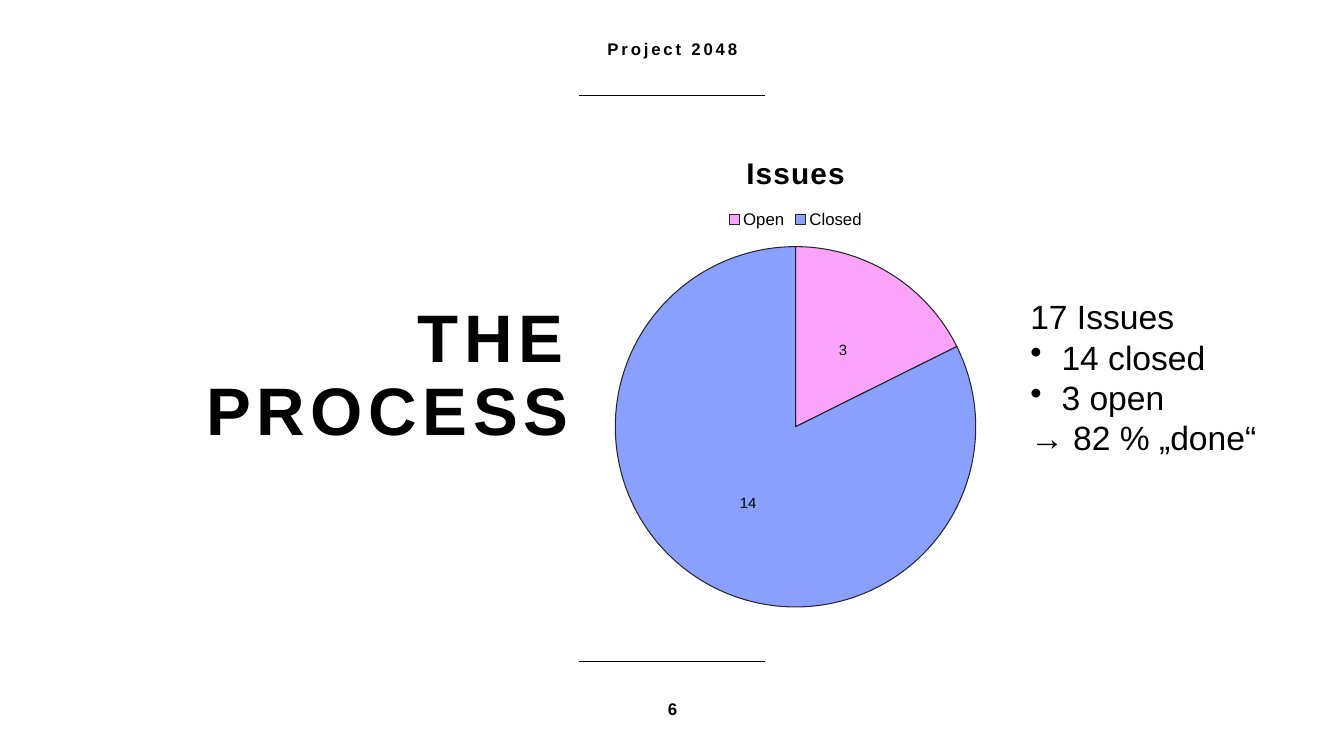
"""Build the process slide with its issue chart and summary."""
from dataclasses import dataclass

from lxml import etree
from pptx import Presentation
from pptx.chart.data import CategoryChartData
from pptx.dml.color import RGBColor
from pptx.enum.chart import XL_CHART_TYPE, XL_LABEL_POSITION, XL_LEGEND_POSITION
from pptx.enum.shapes import MSO_CONNECTOR
from pptx.enum.text import MSO_ANCHOR, PP_ALIGN
from pptx.oxml.ns import qn
from pptx.slide import Slide
from pptx.text.text import Font
from pptx.util import Inches, Pt

LEFT, CENTER, RIGHT = PP_ALIGN.LEFT, PP_ALIGN.CENTER, PP_ALIGN.RIGHT
TOP, MIDDLE = MSO_ANCHOR.TOP, MSO_ANCHOR.MIDDLE
PIE = XL_CHART_TYPE.PIE
LEGEND_TOP = XL_LEGEND_POSITION.TOP
LABEL_CENTER = XL_LABEL_POSITION.CENTER
STRAIGHT = MSO_CONNECTOR.STRAIGHT
BLACK = "000000"
BULLET = "•"
BULLET_INDENT = Inches(0.31)


@dataclass(frozen=True)
class Line:
    text: str
    bulleted: bool = False


@dataclass(frozen=True)
class TextBlock:
    left: float
    top: float
    width: float
    height: float
    lines: tuple[Line, ...]
    size: float
    bold: bool = True
    tracking: float = 0
    align: PP_ALIGN = CENTER
    anchor: MSO_ANCHOR = MIDDLE
    side_inset: float = 0.1
    line_spacing: float = 1.0


@dataclass(frozen=True)
class Slice:
    name: str
    count: int
    color: str


TEXT_BLOCKS = (
    TextBlock(0.67, 1.33, 4.97, 4.83, (Line("THE PROCESS"),), 48, tracking=4,
              align=RIGHT, side_inset=0, line_spacing=0.9),
    TextBlock(4.42, 0.01, 4.5, 0.94, (Line("Project 2048"),), 12, tracking=2),
    TextBlock(4.42, 6.57, 4.5, 0.93, (Line("6"),), 12, tracking=2),
    TextBlock(10.12, 2.89, 2.52, 1.72,
              (Line("17 Issues"), Line("14 closed", True), Line("3 open", True),
               Line("→ 82 % „done“")),
              24, bold=False, align=LEFT, anchor=TOP),
)
SLICES = (Slice("Open", 3, "FBA3FB"), Slice("Closed", 14, "89A0FF"))
RULE_HEIGHTS = (0.95, 6.56)


def rgb(value: str) -> RGBColor:
    """Turn a hex string into a colour."""
    return RGBColor.from_string(value)


def style_font(font: Font, size: float, bold: bool = False) -> None:
    """Apply the slide's typeface and colour."""
    font.name = "Arial"
    font.size = Pt(size)
    font.bold = bold
    font.color.rgb = rgb(BLACK)


def add_text(page: Slide, block: TextBlock) -> None:
    """Draw one text block."""
    box = page.shapes.add_textbox(Inches(block.left), Inches(block.top),
                                  Inches(block.width), Inches(block.height))
    frame = box.text_frame
    frame.word_wrap = True
    frame.vertical_anchor = block.anchor
    frame.margin_left = frame.margin_right = Inches(block.side_inset)
    for index, line in enumerate(block.lines):
        para = frame.add_paragraph() if index else frame.paragraphs[0]
        para.alignment = block.align
        para.line_spacing = block.line_spacing
        style_font(para.font, block.size, block.bold)
        span = para.add_run()
        span.text = line.text
        if block.tracking:
            span.font.bold = block.bold
            span._r.get_or_add_rPr().set("spc", str(int(block.tracking * 100)))
        if line.bulleted:
            properties = para._p.get_or_add_pPr()
            properties.set("marL", str(BULLET_INDENT))
            properties.set("indent", str(-BULLET_INDENT))
            bullet = etree.Element(qn("a:buChar"), char=BULLET)
            properties.find(qn("a:defRPr")).addprevious(bullet)


def add_rule(page: Slide, height: float) -> None:
    """Draw one short horizontal rule."""
    rule = page.shapes.add_connector(STRAIGHT, Inches(5.74), Inches(height),
                                     Inches(7.59), Inches(height))
    rule.line.color.rgb = rgb(BLACK)
    rule.line.width = Pt(1)
    etree.SubElement(rule._element.spPr, qn("a:effectLst"))


def add_issue_chart(page: Slide) -> None:
    """Draw the pie of open and closed issues."""
    data = CategoryChartData()
    data.categories = [part.name for part in SLICES]
    data.add_series("Issues", [part.count for part in SLICES])
    chart = page.shapes.add_chart(PIE, Inches(5.64), Inches(1.33),
                                  Inches(4.5), Inches(4.83), data).chart
    style_font(chart.font, 10)

    chart.has_title = True
    para = chart.chart_title.text_frame.paragraphs[0]
    style_font(para.font, 21.3, True)
    span = para.add_run()
    span.text = "Issues"
    style_font(span.font, 21.3, True)
    span._r.get_or_add_rPr().set("spc", "100")

    chart.has_legend = True
    chart.legend.position = LEGEND_TOP
    chart.legend.include_in_layout = False
    style_font(chart.legend.font, 12)

    plot = chart.plots[0]
    plot.vary_by_categories = True
    series = plot.series[0]
    for index, part in enumerate(SLICES):
        shape_format = series.points[index].format
        shape_format.fill.solid()
        shape_format.fill.fore_color.rgb = rgb(part.color)
        shape_format.line.color.rgb = rgb("262626")
        shape_format.line.width = Pt(0.75)
    labels = series.data_labels
    labels.show_value = True
    labels.position = LABEL_CENTER
    style_font(labels.font, 10.6)


def main() -> None:
    """Build and save the deck."""
    deck = Presentation()
    deck.slide_width, deck.slide_height = Inches(13.33), Inches(7.5)
    page = deck.slides.add_slide(deck.slide_layouts[6])
    for height in RULE_HEIGHTS:
        add_rule(page, height)
    add_issue_chart(page)
    for block in TEXT_BLOCKS:
        add_text(page, block)
    deck.save("out.pptx")


if __name__ == "__main__":
    main()
